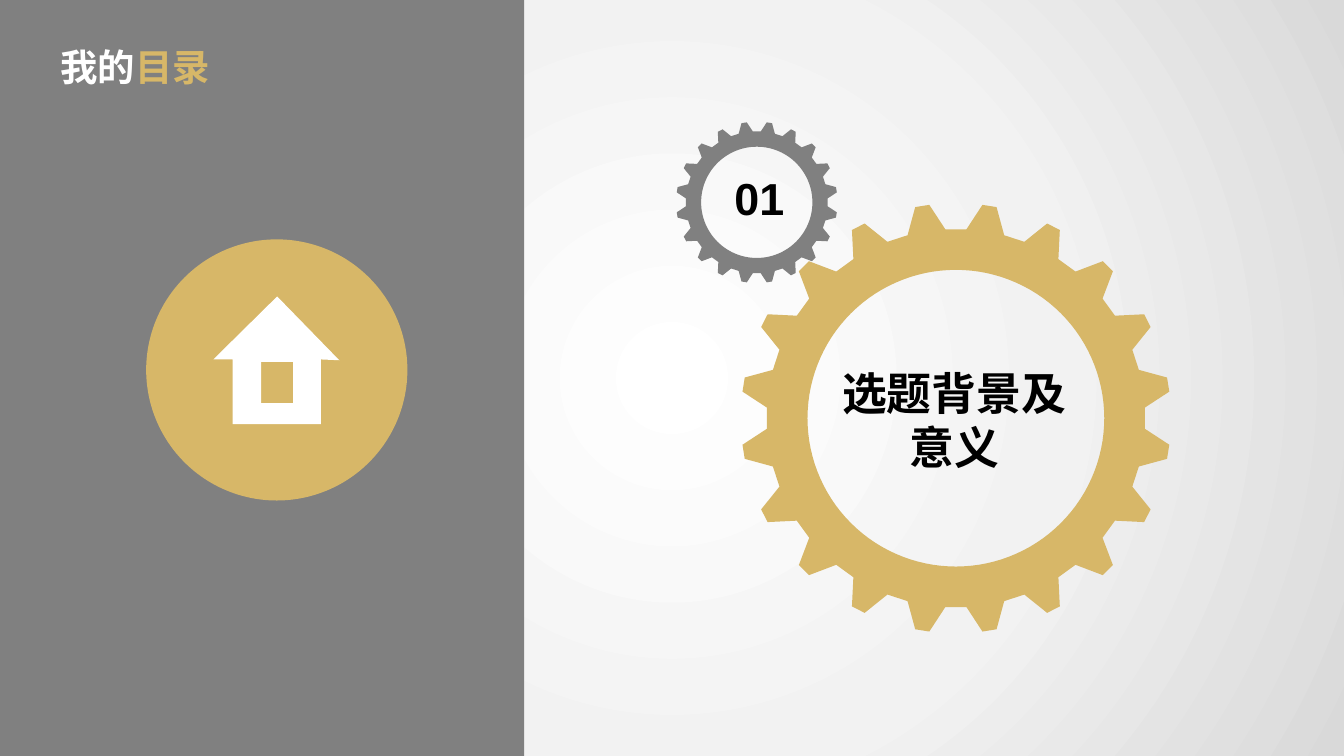
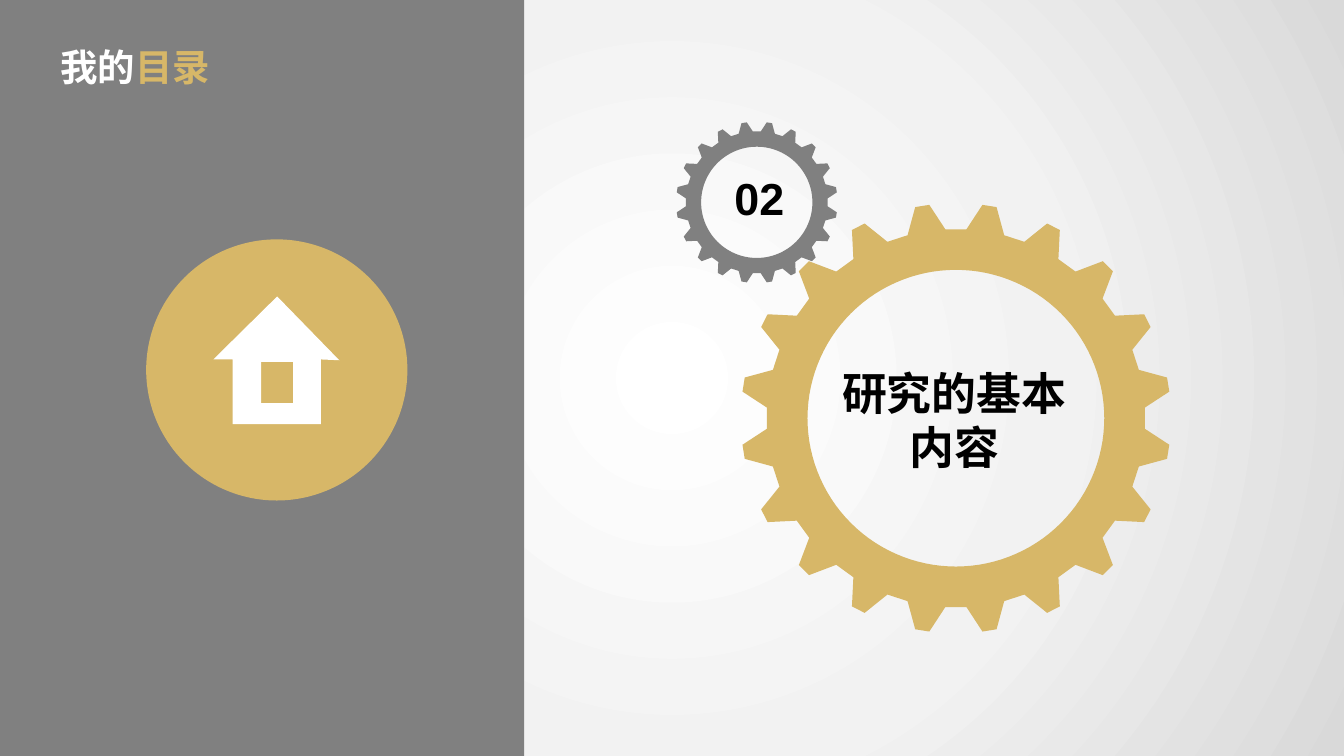
"""Build two section slides with interlocking gears for a contents deck."""
import math

import pptx
import pptx.dml.color
import pptx.enum.shapes
import pptx.enum.text
import pptx.oxml
import pptx.oxml.ns
import pptx.util

COLORS = {"gray": "808080", "gold": "D7B768", "white": "FFFFFF", "black": "000000",
          "pale": "F2F2F2", "silver": "D9D9D9"}
FONT = "Arial"
COLUMNS = 16
TEETH = 20
SECTIONS = [("01", "选题背景及意义"), ("02", "研究的基本内容")]
GRADIENT_STOPS = [(0, "white"), (51, "pale"), (100, "silver")]

deck = pptx.Presentation()
deck.slide_width = pptx.util.Inches(13.33)
deck.slide_height = pptx.util.Inches(7.5)
cell = deck.slide_width / COLUMNS


def paint(shape, color):
    """Give a shape a flat fill with no line or shadow."""
    shape.shadow.inherit = False
    shape.fill.solid()
    shape.fill.fore_color.rgb = pptx.dml.color.RGBColor.from_string(COLORS[color])
    shape.line.fill.background()


def write(frame, spans, size, spacing=None):
    """Write one centred bold paragraph, run by run."""
    frame.word_wrap = True
    frame.auto_size = pptx.enum.text.MSO_AUTO_SIZE.SHAPE_TO_FIT_TEXT
    para = frame.paragraphs[0]
    para.alignment = pptx.enum.text.PP_ALIGN.CENTER
    para.line_spacing = spacing
    for text, color in spans:
        span = para.add_run()
        span.text = text
        span.font.name = FONT
        span.font.size = pptx.util.Pt(size)
        span.font.bold = True
        span.font.color.rgb = pptx.dml.color.RGBColor.from_string(COLORS[color])


deck.slide_master.background.fill.gradient()
stops = "".join(f'<a:gs pos="{share * 1000}"><a:srgbClr val="{COLORS[color]}"/></a:gs>'
                for share, color in GRADIENT_STOPS)
radial = pptx.oxml.parse_xml(
    f'<a:gradFill {pptx.oxml.ns.nsdecls("a")} rotWithShape="1"><a:gsLst>{stops}</a:gsLst>'
    '<a:path path="circle"><a:fillToRect l="50000" t="50000" r="50000" b="50000"/></a:path>'
    '</a:gradFill>')
linear = deck.slide_master.element.xpath(".//p:bgPr/a:gradFill")[0]
linear.getparent().replace(linear, radial)

layout = deck.slide_layouts[5]
heading = layout.placeholders[0]
heading.left, heading.top, heading.width, heading.height = (
    int(cell * share) for share in (0.46, 0.41, 2.3, 0.76))
heading.text_frame.margin_left = heading.text_frame.margin_right = pptx.util.Inches(0.18)
heading.text_frame.margin_top = heading.text_frame.margin_bottom = pptx.util.Inches(0.09)

roof_and_walls = [(3.3, 3.53), (4.04, 4.29), (3.82, 4.28), (3.82, 5.05),
                  (2.77, 5.05), (2.77, 4.28), (2.54, 4.28)]
door = [(3.11, 4.31), (3.11, 4.8), (3.49, 4.8), (3.49, 4.31)]
outlines = [("white", [roof_and_walls, door])]

tooth = [(-5.8, 0.88), (-1.9, 1), (1.9, 1), (5.8, 0.88)]
rim = [((index + 0.5) * 360 / TEETH + turn, reach)
       for index in range(TEETH) for turn, reach in tooth]
hole = [(angle, 0.69) for angle in range(0, 360, 3)]
for color, center_x, center_y, radius in [("gray", 9.01, 2.41, 0.96), ("gold", 11.38, 4.98, 2.56)]:
    outlines.append((color, [
        [(center_x + radius * reach * math.sin(math.radians(angle)),
          center_y - radius * reach * math.cos(math.radians(angle))) for angle, reach in ring]
        for ring in (rim, hole)]))

for number, topic in SECTIONS:
    page = deck.slides.add_slide(layout)
    title = page.shapes.title
    write(title.text_frame, [("我的", "white"), ("目录", "gold")], 26.7)

    panel = page.shapes.add_shape(pptx.enum.shapes.MSO_SHAPE.RECTANGLE, 0, int(-0.05 * cell),
                                  int(6.24 * cell), int(9.05 * cell))
    paint(panel, "gray")
    title.element.addprevious(panel.element)

    badge = page.shapes.add_group_shape()
    disc = badge.shapes.add_shape(pptx.enum.shapes.MSO_SHAPE.OVAL, int(1.74 * cell),
                                  int(2.85 * cell), int(3.11 * cell), int(3.11 * cell))
    paint(disc, "gold")

    for color, contours in outlines:
        canvas = badge.shapes if color == "white" else page.shapes
        builder = None
        for contour in contours:
            points = [(x * cell, y * cell) for x, y in contour]
            if builder is None:
                builder = canvas.build_freeform(*points[0])
            else:
                builder.move_to(*points[0])
            builder.add_line_segments(points[1:], close=True)
        paint(builder.convert_to_shape(), color)

    for text, spacing, place in [(topic, None, (9.7, 4.3, 3.32, 1.42)),
                                 (number, 0.8, (8.38, 2.1, 1.32, 0.64))]:
        box = page.shapes.add_textbox(*(int(share * cell) for share in place))
        write(box.text_frame, [(text, "black")], 32, spacing)

deck.save("out.pptx")
